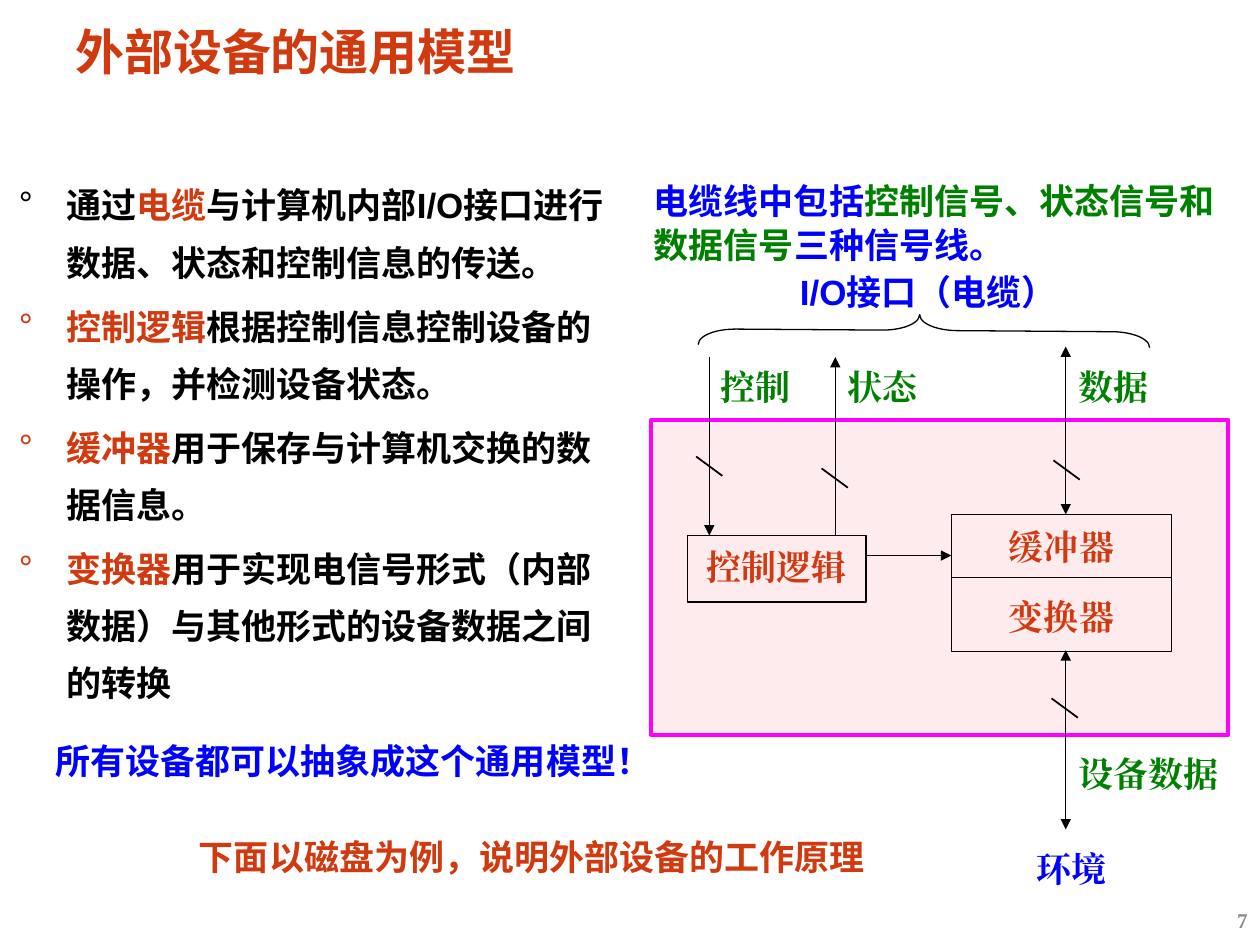
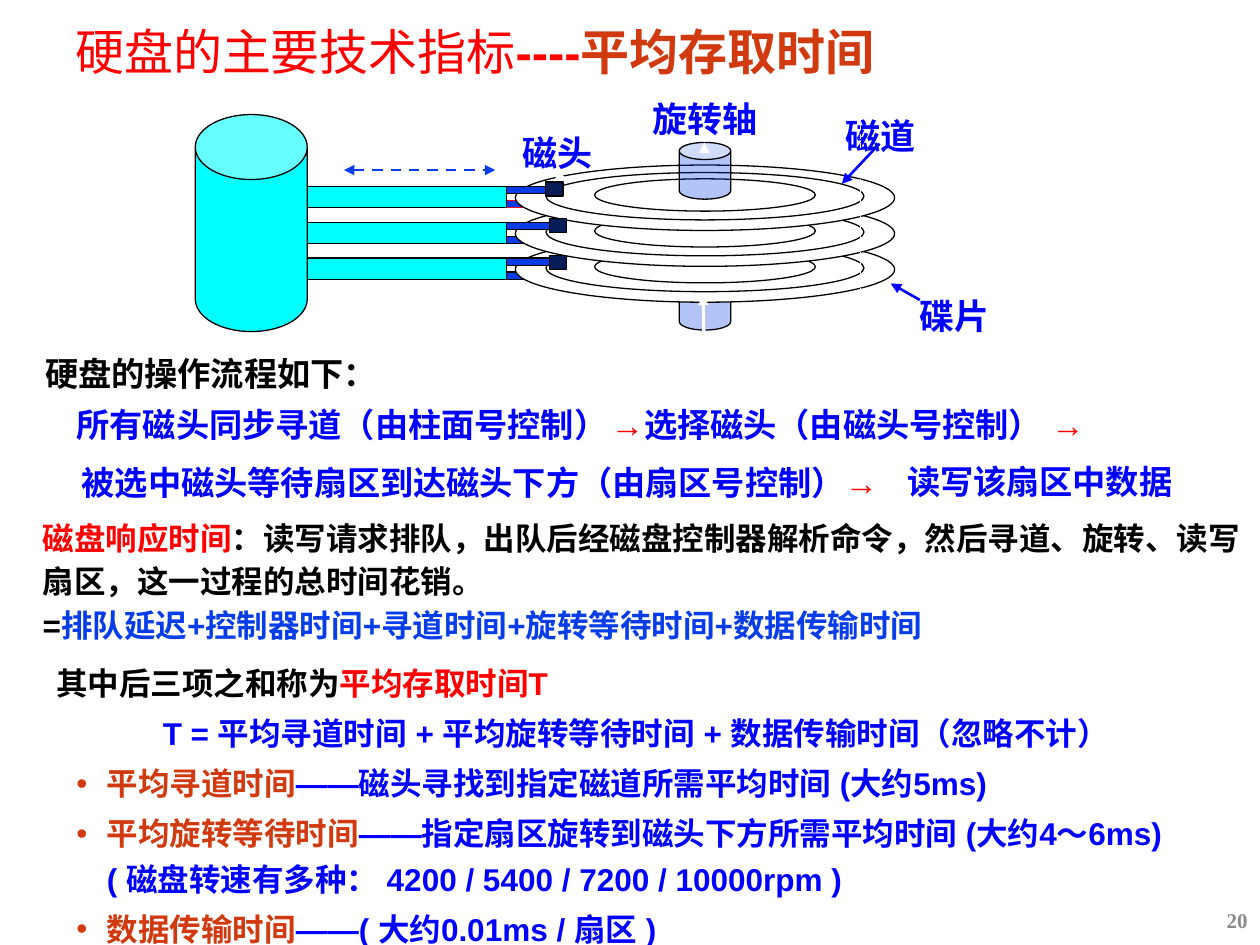
from dataclasses import dataclass
from lxml import etree
from pptx import Presentation
from pptx.dml.color import RGBColor
from pptx.enum import dml, shapes, text
from pptx.oxml import ns
from pptx.util import Pt


@dataclass(frozen=True)
class Theme:
    black: str = "000000"
    white: str = "FFFFFF"
    rust: str = "D1390F"
    red: str = "FF0000"
    blue: str = "0000FF"
    royal: str = "063DE8"
    navy: str = "081D58"
    green: str = "008000"
    cyan: str = "00FFFF"
    rose: str = "FC0128"
    pink: str = "FF00FF"
    gray: str = "898989"
    sans: str = "Arial"
    serif: str = "Times New Roman"
    cjk: str = "Noto Sans CJK SC"
    head: int = 28
    main: int = 20
    flow: int = 19
    note: int = 18
    foot: int = 12
    thin: float = 0.75


T = Theme()
KIND = shapes.MSO_SHAPE
MID = text.PP_ALIGN.CENTER
TIGHT = (5, 2.2, 5, 2.2)


def sub(node, tag, **attrs):
    return etree.SubElement(node, ns.qn(tag), **attrs)


def pts(*vals):
    return [Pt(v) for v in vals]


def shift(box, x, y):
    return box[0] + x, box[1] + y


def write(frame, paras, size=T.main, face=T.sans, align=None, gap=0, lead=1.05,
          pads=(7.2, 3.6, 7.2, 3.6), indents=None, bullet=None, bold=True):
    """Fill a frame; each paragraph is a list of (words, colour[, bold]) runs.

    indents holds one (left, first) pair per paragraph; a paragraph with a
    negative first-line indent takes the bullet.
    """
    frame.word_wrap = True
    frame.auto_size = text.MSO_AUTO_SIZE.NONE
    frame.vertical_anchor = text.MSO_ANCHOR.TOP
    (frame.margin_left, frame.margin_top,
     frame.margin_right, frame.margin_bottom) = pts(*pads)
    for i, runs in enumerate(paras):
        par = frame.paragraphs[0] if i == 0 else frame.add_paragraph()
        par.alignment = align or text.PP_ALIGN.LEFT
        par.line_spacing = lead
        par.space_before = Pt(gap if i else 0)
        props = par._p.get_or_add_pPr()
        left, first = indents[i] if indents else (0, 0)
        props.set("marL", str(Pt(left)))
        props.set("indent", str(Pt(first)))
        if bullet and first < 0:
            sub(sub(props, "a:buClr"), "a:srgbClr", val=runs[0][1])
            sub(props, "a:buFont", typeface=T.sans)
            sub(props, "a:buChar", char=bullet)
        font = par.font
        font.name, font.size, font.bold = face, Pt(size), bold
        # East Asian glyphs share the line metrics of the Latin face.
        east = T.sans if face == T.cjk else face
        sub(props.find(ns.qn("a:defRPr")), "a:ea", typeface=east)
        for words, tint, *heavy in runs:
            run = par.add_run()
            run.text = words
            run.font.color.rgb = RGBColor.from_string(tint)
            if heavy:
                run.font.bold = heavy[0]


def label(slide, box, paras, **style):
    frame = slide.shapes.add_textbox(*pts(*box)).text_frame
    write(frame, paras, **style)
    return frame


def shape(slide, kind, box, fill=None, alpha=None, line=T.black, width=T.thin,
          adjust=()):
    item = slide.shapes.add_shape(kind, *pts(*box))
    item.shadow.inherit = False
    if fill:
        item.fill.solid()
        item.fill.fore_color.rgb = RGBColor.from_string(fill)
        if alpha:
            tint = item._element.spPr.find(".//" + ns.qn("a:srgbClr"))
            sub(tint, "a:alpha", val=str(alpha * 1000))
    else:
        item.fill.background()
    item.line.color.rgb = RGBColor.from_string(line)
    item.line.width = Pt(width)
    for i, val in enumerate(adjust):
        item.adjustments[i] = val
    return item


def link(slide, start, end, tint=T.black, width=T.thin, tips="", dash=False):
    """Draw a line; tips lists the ends with arrowheads: 'head', 'tail'."""
    item = slide.shapes.add_connector(
        shapes.MSO_CONNECTOR.STRAIGHT, *pts(*start, *end))
    item.line.color.rgb = RGBColor.from_string(tint)
    item.line.width = Pt(width)
    if dash:
        item.line.dash_style = dml.MSO_LINE.DASH
    edge = item.line._get_or_add_ln()
    for tip in tips.split():
        sub(edge, f"a:{tip}End", type="triangle")
    sub(item._element.spPr, "a:effectLst")


def start(deck, title, number, face=T.sans):
    """Add a slide with its title and page number."""
    slide = deck.slides.add_slide(deck.slide_layouts[5])
    head = slide.shapes.title
    head.left, head.top, head.width, head.height = pts(38, 13.7, 657, 33.5)
    write(head.text_frame, [title], T.head, face, lead=0.9, pads=TIGHT)
    foot = label(slide, (558, 511, 162, 29), [[(number, T.gray)]], size=T.foot,
                 face=T.serif, align=text.PP_ALIGN.RIGHT, lead=1.0)
    foot.vertical_anchor = text.MSO_ANCHOR.MIDDLE
    return slide


def points(slide, box):
    paras = [
        [("通过", T.black), ("电缆", T.rust),
         ("与计算机内部I/O接口进行数据、状态和控制信息的传送。", T.black)],
        [("控制逻辑", T.rust), ("根据控制信息控制设备的操作，并检测设备状态。", T.black)],
        [("缓冲器", T.rust), ("用于保存与计算机交换的数据信息。", T.black)],
        [("变换器", T.rust),
         ("用于实现电信号形式（内部数据）与其他形式的设备数据之间的转换", T.black)]]
    label(slide, box, paras, gap=4, lead=1.36, pads=TIGHT,
          indents=[(27, -27)] * len(paras), bullet="°")


def model(slide, box):
    """Device model: the frame is the box, cables run above and below it."""
    def at(x, y):
        return shift(box, x, y)

    brace = shape(slide, KIND.LEFT_BRACE, (*at(147, -180.2), 18, 258),
                  adjust=(1.19, 0.51))
    brace.rotation = 90.4
    label(slide, (*at(78, -90.2), 175, 31), [[("I/O接口（电缆）", T.blue)]])
    label(slide, (*at(-5.5, -142), 353.5, 55.5),
          [[("电缆线中包括", T.blue), ("控制信号、状态信号和数据信号", T.green),
            ("三种信号线。", T.blue)]])
    shape(slide, KIND.RECTANGLE, box, T.rose, 8, T.pink, 2.25)
    for part, names in (((*at(21, 66), 102, 38), ["控制逻辑"]),
                        ((*at(171.6, 54), 126, 78.5), ["缓冲器", "变换器"])):
        item = shape(slide, KIND.RECTANGLE, part)
        write(item.text_frame, [[(name, T.rust)] for name in names],
              face=T.serif, align=MID, gap=10, lead=1.25, pads=(0, 0, 0, 8.6))
    for a, b, tips in (((171.6, 90), (297.6, 90), ""),
                       ((123, 77.5), (171.6, 77.5), "tail"),
                       ((33.3, -36), (33.3, 66), "tail"),
                       ((105.3, -36), (105.3, 66), "head"),
                       ((237, -42), (237, 54), "head tail"),
                       ((237, 131.5), (237, 234), "head tail")):
        link(slide, at(*a), at(*b), tips=tips)
    for x, y in ((33.3, 26.4), (105, 33.2), (237.5, 28.6), (236.4, 164.6)):
        link(slide, at(x - 7.5, y - 5.5), at(x + 7.5, y + 5.5), width=1)
    for x, y, name, tint in ((32.6, -36, "控制", T.green),
                             (105.3, -36, "状态", T.green),
                             (237, -36, "数据", T.green),
                             (237, 185.5, "设备数据", T.green),
                             (213.4, 239.5, "环境", T.blue)):
        label(slide, (*at(x, y), 110, 31), [[(name, tint)]], face=T.serif)


def platter(slide, x, y):
    for dx, dy in ((0, 0), (17.5, 4.3), (45.3, 7.9)):
        shape(slide, KIND.OVAL,
              (x + dx, y + dy, 216.7 - 2 * dx, 37.4 - 2.4 * dy), T.white)


def disk(slide, box):
    """Disk drive whose actuator column starts at the box corner."""
    step = 20.5
    rows = range(3)

    def at(x, y):
        return shift(box, x, y)

    def bar(y, line=T.black):
        shape(slide, KIND.RECTANGLE, (*at(177.8, y), 24.5, 4.3), T.royal, line=line)

    def axle(y):
        shape(slide, KIND.CAN, (*at(276.5, y), 29.5, 32.4), T.royal, 30,
              adjust=(0.33,))

    axle(90.7)
    for i in reversed(rows):
        bar(49 + i * step, T.black if i else T.rose)
    for i in reversed(rows):
        platter(slide, *at(182.9, 28.8 + i * step))
    shape(slide, KIND.CAN, (*box[:2], 64, box[3]), T.cyan, adjust=(0.58,))
    for i in rows:
        shape(slide, KIND.RECTANGLE, (*at(64, 41 + i * step), 113.8, 12.2), T.cyan)
        bar(41 + i * step)
        shape(slide, KIND.RECTANGLE,
              (*at(202.3 if i else 200.2, 38.5 + i * 21), 10, 8), T.navy)
    axle(15.9)
    for x, y, wide, name in ((157.7, 5.1, 98.6, "磁头"), (348.5, -5, 85.7, "磁道"),
                             (241.9, -14.4, 98.6, "旋转轴"), (393.1, 98, 81.4, "碟片")):
        label(slide, (*at(x, y), wide, 31), [[(name, T.blue)]], align=MID)
    link(slide, at(380.2, -4.3), at(380.2, 144), T.white, dash=True)
    for a, b in (((207.4, 36), (205.2, 38.2)), ((118.8, 12.3), (121, 41.1)),
                 ((290.9, 16.6), (290.9, 15.9)), ((290.9, 141.9), (290.2, 103))):
        link(slide, at(*a), at(*b), T.white, 1.75, "tail")
    for a, b in (((414, 105.9), (397.4, 96.5)), ((391, 16.6), (369.4, 39.6))):
        link(slide, at(*a), at(*b), T.blue, 1.5, "tail")
    link(slide, at(85, 31.7), at(171.4, 31.7), T.royal, 1.5, "head tail", True)


def steps(slide, box):
    """Lay out the sequence of disk operations on three rows."""
    for x, y, wide, runs in (
            (0, 0, 206, [("硬盘的操作流程如下：", T.black)]),
            (18, 29, 323, [("所有磁头同步寻道（由柱面号控制）", T.blue)]),
            (323.3, 29, 293, [("→", T.red), ("选择磁头（由磁头号控制）", T.blue),
                              (" →", T.red)]),
            (21, 62.6, 484, [("被选中磁头等待扇区到达磁头下方（由扇区号控制）", T.blue),
                             ("→", T.red)]),
            (492.5, 62, 176, [("读写该扇区中数据", T.blue)])):
        label(slide, (*shift(box, x, y), wide, 34), [runs], size=T.flow, lead=1.2)


def delay(slide, box):
    label(slide, box, [
        [("磁盘响应时间", T.red),
         ("：读写请求排队，出队后经磁盘控制器解析命令，然后寻道、旋转、"
          "读写扇区，这一过程的总时间花销。", T.black)],
        [("=", T.black),
         ("排队延迟+控制器时间+寻道时间+旋转等待时间+数据传输时间", T.royal)]],
        size=T.note, lead=Pt(25))


def access(slide, box):
    paras = [
        [("其中后三项之和称为", T.black), ("平均存取时间T", T.red)],
        [("T = 平均寻道时间 + 平均旋转等待时间 + 数据传输时间（忽略不计）", T.blue)],
        [("平均寻道时间", T.rust),
         ("——磁头寻找到指定磁道所需平均时间 (大约5ms)", T.blue)],
        [("平均旋转等待时间", T.rust),
         ("——指定扇区旋转到磁头下方所需平均时间 (大约4～6ms) "
          "( 磁盘转速有多种： 4200 / 5400 / 7200 / 10000rpm )", T.blue)],
        [("数据传输时间", T.rust), ("——( 大约0.01ms / 扇区 )", T.blue)]]
    label(slide, box, paras, size=T.note, gap=2.7, lead=1.2, pads=TIGHT,
          indents=[(17, 0), (78, 0)] + [(46, -17.3)] * 3, bullet="•")


def main():
    deck = Presentation()
    deck.slide_width, deck.slide_height = pts(720, 540)

    slide = start(deck, [("外部设备的通用模型", T.rust)], "7", T.cjk)
    points(slide, (5.8, 94.3, 350.6, 302.4))
    model(slide, (372, 240, 330, 180))
    label(slide, (24.5, 417.6, 362, 31.7),
          [[("所有设备都可以抽象成这个通用模型！", T.blue)]])
    label(slide, (106.6, 473, 406.8, 31),
          [[("下面以磁盘为例，说明外部设备的工作原理", T.rust)]])

    slide = start(deck, [("硬盘的主要技术指标", T.red, False), ("----", T.red),
                         ("平均存取时间", T.rust)], "20")
    access(slide, (10, 373, 669, 167))
    disk(slide, (111.6, 65.5, 400, 124))
    steps(slide, (18.7, 193.7, 669, 97))
    delay(slide, (17.3, 289.4, 702.7, 82.8))
    deck.save("out.pptx")


if __name__ == "__main__":
    main()
